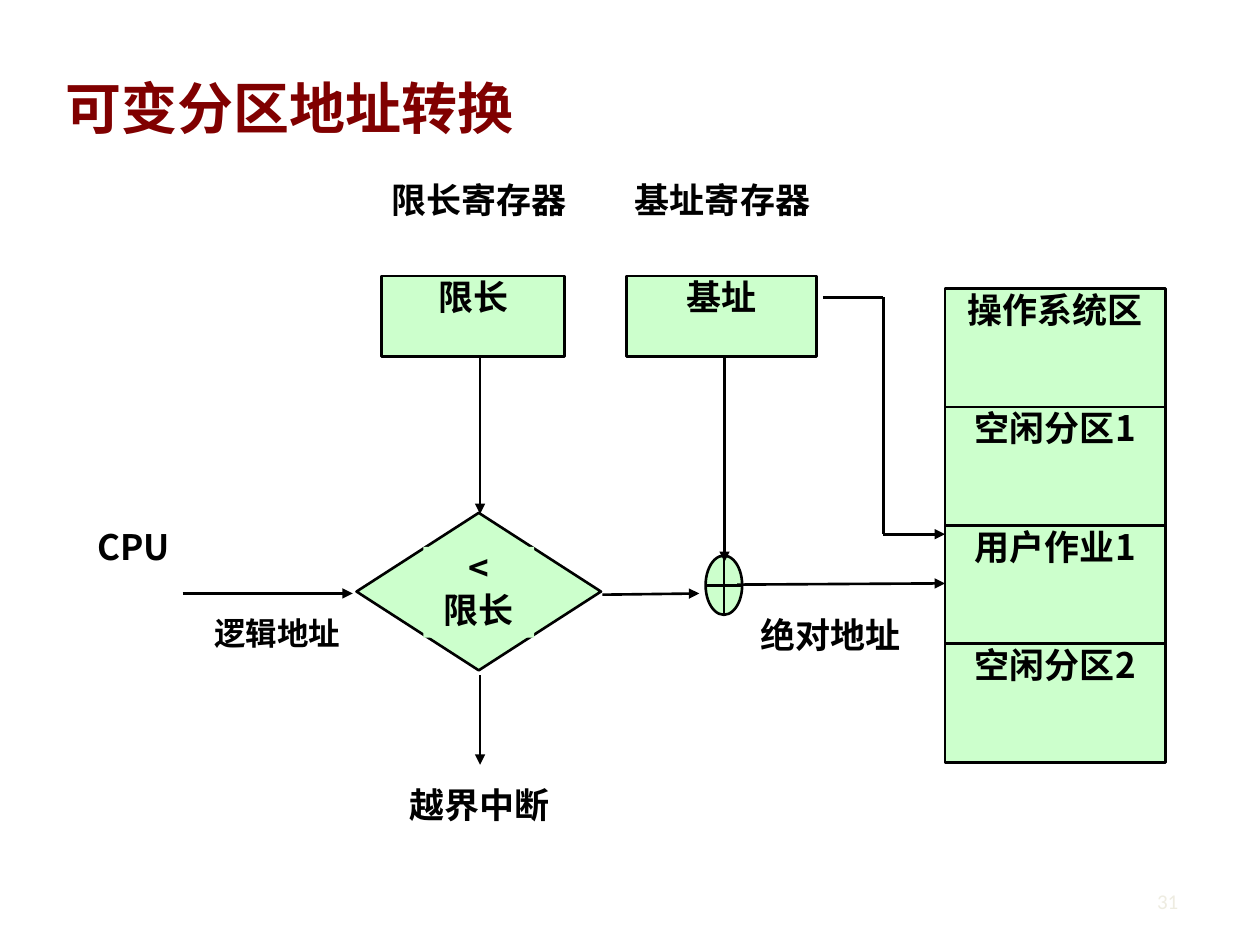
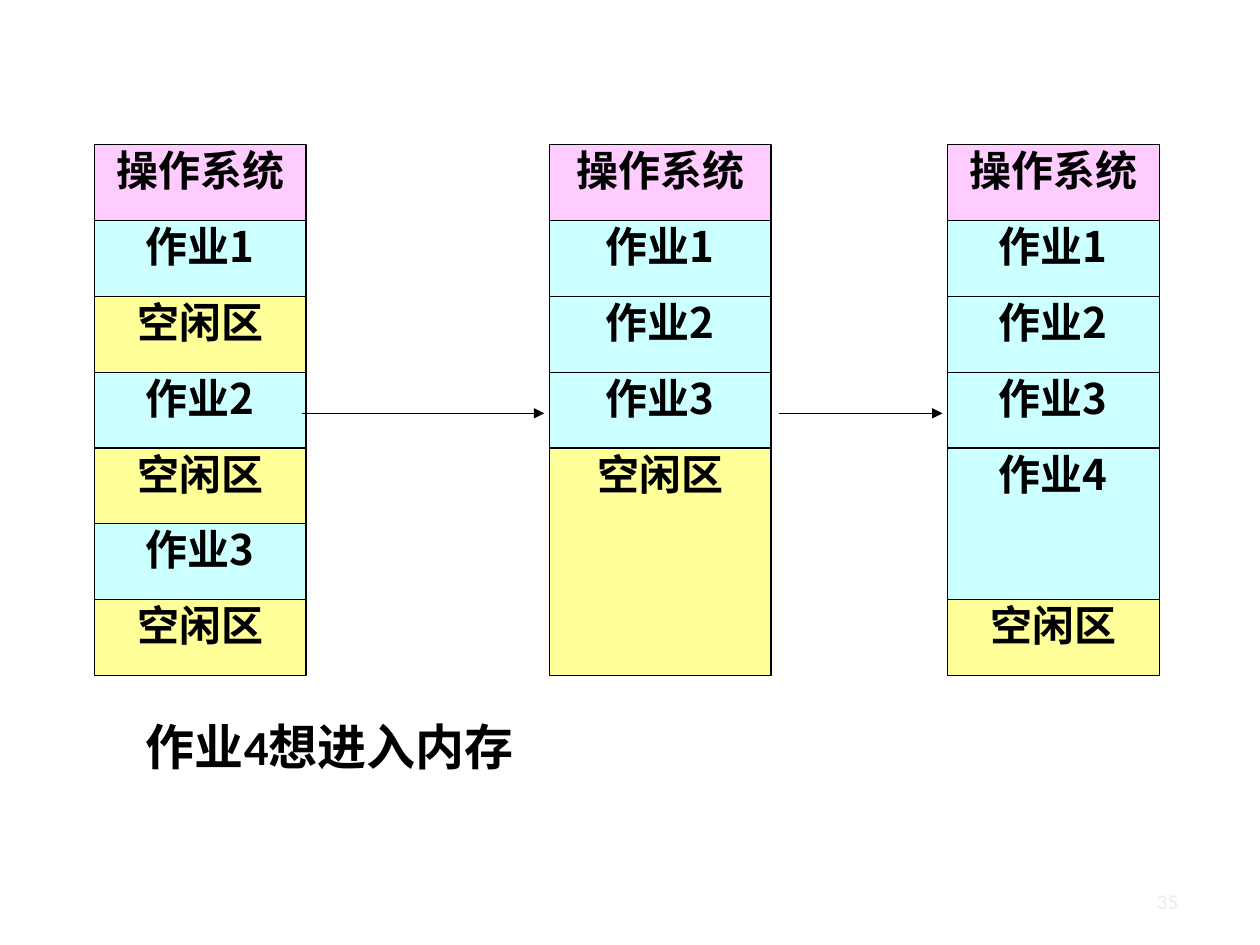
from dataclasses import dataclass

from pptx import Presentation
from pptx.dml.color import RGBColor
from pptx.enum.shapes import MSO_CONNECTOR, MSO_SHAPE
from pptx.enum.text import MSO_ANCHOR, PP_ALIGN
from pptx.oxml.ns import qn
from pptx.util import Inches, Pt
from lxml.etree import SubElement

# Shared style; the slide is a grid of 100 columns by 75 rows
COLUMNS, ROWS = 100, 75
SLIDE_WIDTH, SLIDE_HEIGHT = Inches(10), Inches(7.5)
COLORS = {
    "title": "800000", "ink": "000000", "number": "EEECE1",
    "register": "CCFFCC", "system": "FFCCFF", "job": "CCFFFF", "free": "FFFF99",
}
LATIN, CJK = "Calibri", "Noto Sans CJK SC"


@dataclass
class Box:
    """A region in grid columns and rows."""
    left: float
    top: float
    width: float
    height: float

    def inner(self, left, top, width, height):
        return Box(self.left + left, self.top + top, width, height)

    def point(self, column, row):
        return self.left + column, self.top + row

    def lengths(self):
        return (across(self.left), down(self.top),
                across(self.width), down(self.height))


def across(columns):
    return round(SLIDE_WIDTH * columns / COLUMNS)


def down(rows):
    return round(SLIDE_HEIGHT * rows / ROWS)


def color(name):
    return RGBColor.from_string(COLORS[name])


# Text
def add_run(paragraph, text, size, font=CJK, ink="ink", bold=True):
    run = paragraph.add_run()
    run.text = text
    run.font.size = Pt(size)
    run.font.bold = bold
    run.font.name = font
    run.font.color.rgb = color(ink)
    SubElement(run.font._element, qn("a:ea")).set("typeface", CJK)


def write(shape, lines, size, align=PP_ALIGN.CENTER, inset=(0, 0),
          anchor=MSO_ANCHOR.TOP, **run_style):
    frame = shape.text_frame
    frame.word_wrap = True
    frame.vertical_anchor = anchor
    frame.margin_left = frame.margin_right = Inches(inset[0])
    frame.margin_top = frame.margin_bottom = Inches(inset[1])
    for index, line in enumerate(lines):
        paragraph = frame.add_paragraph() if index else frame.paragraphs[0]
        paragraph.alignment = align
        add_run(paragraph, line, size, **run_style)


def add_label(slide, box, text, size=20, **style):
    write(slide.shapes.add_textbox(*box.lengths()), [text], size, **style)


# Shapes and lines
def add_block(slide, box, fill, lines=(), size=20, weight=1.5,
              kind=MSO_SHAPE.RECTANGLE):
    shape = slide.shapes.add_shape(kind, *box.lengths())
    shape.shadow.inherit = False
    shape.fill.solid()
    shape.fill.fore_color.rgb = color(fill)
    if weight:
        shape.line.color.rgb = color("ink")
        shape.line.width = Pt(weight)
    else:
        shape.line.fill.background()
    write(shape, lines, size)


def add_line(slide, start, end, weight=1.5, arrow=True):
    connector = slide.shapes.add_connector(
        MSO_CONNECTOR.STRAIGHT, across(start[0]), down(start[1]),
        across(end[0]), down(end[1]))
    connector.line.color.rgb = color("ink")
    connector.line.width = Pt(weight)
    properties = connector._element.spPr
    if arrow:
        SubElement(properties.find(qn("a:ln")), qn("a:tailEnd")).set("type", "triangle")
    SubElement(properties, qn("a:effectLst"))


def add_stack(slide, box, blocks, size, weight):
    """Stack blocks of (text, fill, units); the units share the box height."""
    unit = box.height / sum(units for _, _, units in blocks)
    top = 0
    for text, fill, units in blocks:
        add_block(slide, box.inner(0, top, box.width, units * unit),
                  fill, [text], size, weight)
        top += units * unit


# Parts that the slides share
def add_title(slide, box, text):
    title = slide.shapes.title
    title.left, title.top, title.width, title.height = box.lengths()
    write(title, [text], 32, PP_ALIGN.LEFT, (0.1, 0.05), MSO_ANCHOR.BOTTOM,
          font=LATIN, ink="title")


def add_page_number(slide, number):
    add_label(slide, Box(71.5, 69.5, 23, 4), str(number), 12, align=PP_ALIGN.RIGHT,
              inset=(0.1, 0.05), anchor=MSO_ANCHOR.MIDDLE, font=LATIN,
              ink="number", bold=False)


# Slide 1: address translation
def add_translation(slide, box):
    # Labels
    for text, place, size in [
        ("限长寄存器", (22.6, 0, 17.5, 5.8), 20),
        ("基址寄存器", (42.4, 0, 16.5, 5.8), 20),
        ("CPU", (0, 27.5, 7.8, 9.4), 20),
        ("逻辑地址", (8.7, 34.5, 13.2, 4.9), 18),
        ("绝对地址", (52.7, 34.5, 13, 5.9), 20),
        ("越界中断", (22.6, 48, 17.5, 5.3), 20),
    ]:
        add_label(slide, box.inner(*place), text, size)

    # Registers, adder and memory
    add_block(slide, box.inner(23.6, 7.7, 14.5, 6.4), "register", ["限长"])
    add_block(slide, box.inner(43, 7.7, 15.1, 6.4), "register", ["基址"])
    add_block(slide, box.inner(49.3, 29.9, 2.9, 4.7), "register",
              kind=MSO_SHAPE.FLOWCHART_OR)
    regions = ["操作系统区", "空闲分区1", "用户作业1", "空闲分区2"]
    add_stack(slide, box.inner(68.3, 8.7, 17.5, 37.6),
              [(region, "register", 1) for region in regions], 20, 1.5)

    # Limit check
    add_block(slide, box.inner(21.6, 26.5, 19.4, 12.5), "register",
              kind=MSO_SHAPE.FLOWCHART_DECISION)
    add_block(slide, box.inner(26.9, 29.2, 8.8, 7.2), "register",
              ["<", "限长"], weight=0)

    # Arrows
    for start, end in [
        ((31.4, 14.1), (31.4, 26.6)),
        ((50.8, 14.2), (50.8, 30.4)),
        ((7.8, 32.9), (21.3, 32.9)),
        ((41.1, 33), (48.8, 32.9)),
        ((51.8, 32.2), (68.3, 32.1)),
        ((31.4, 39.4), (31.4, 46.5)),
    ]:
        add_line(slide, box.point(*start), box.point(*end))

    # Bent line from the base register to the user job
    bends = [box.point(*bend) for bend in
             [(58.6, 9.4), (63.4, 9.4), (63.4, 28.2), (68.3, 28.2)]]
    for start, end in zip(bends, bends[1:]):
        add_line(slide, start, end, arrow=end == bends[-1])


# Slide 2: memory compaction
def add_compaction(slide, box):
    system, free = ("操作系统", "system", 1), ("空闲区", "free", 1)
    jobs = [(f"作业{number}", "job", 1) for number in (1, 2, 3)]
    before = [system] + [block for job in jobs for block in (job, free)]
    compacted = [system, *jobs, ("空闲区", "free", 3)]
    loaded = [system, *jobs, ("作业4", "job", 2), free]

    for left, width, blocks in [(0, 16.8, before), (36.1, 17.6, compacted),
                                (67.7, 16.8, loaded)]:
        add_stack(slide, box.inner(left, 0, width, box.height), blocks, 24, 0.75)

    for start, end in [(16.5, 35.7), (54.3, 67.3)]:
        add_line(slide, box.point(start, 21.3), box.point(end, 21.3), 0.75)


def main():
    presentation = Presentation()
    presentation.slide_width, presentation.slide_height = SLIDE_WIDTH, SLIDE_HEIGHT
    title_only, blank = presentation.slide_layouts[5], presentation.slide_layouts[6]

    slide = presentation.slides.add_slide(title_only)
    add_title(slide, Box(4.2, 2.5, 90, 9.2), "可变分区地址转换")
    add_translation(slide, Box(6.7, 14.2, 85.8, 53.3))
    add_page_number(slide, 31)

    slide = presentation.slides.add_slide(blank)
    add_compaction(slide, Box(7.5, 11.5, 84.5, 42.1))
    add_label(slide, Box(10.6, 56.4, 31.5, 10.4), "作业4想进入内存", 28,
              align=PP_ALIGN.LEFT, inset=(0.1, 0.05), font=LATIN)
    add_page_number(slide, 35)

    presentation.save("out.pptx")


if __name__ == "__main__":
    main()
